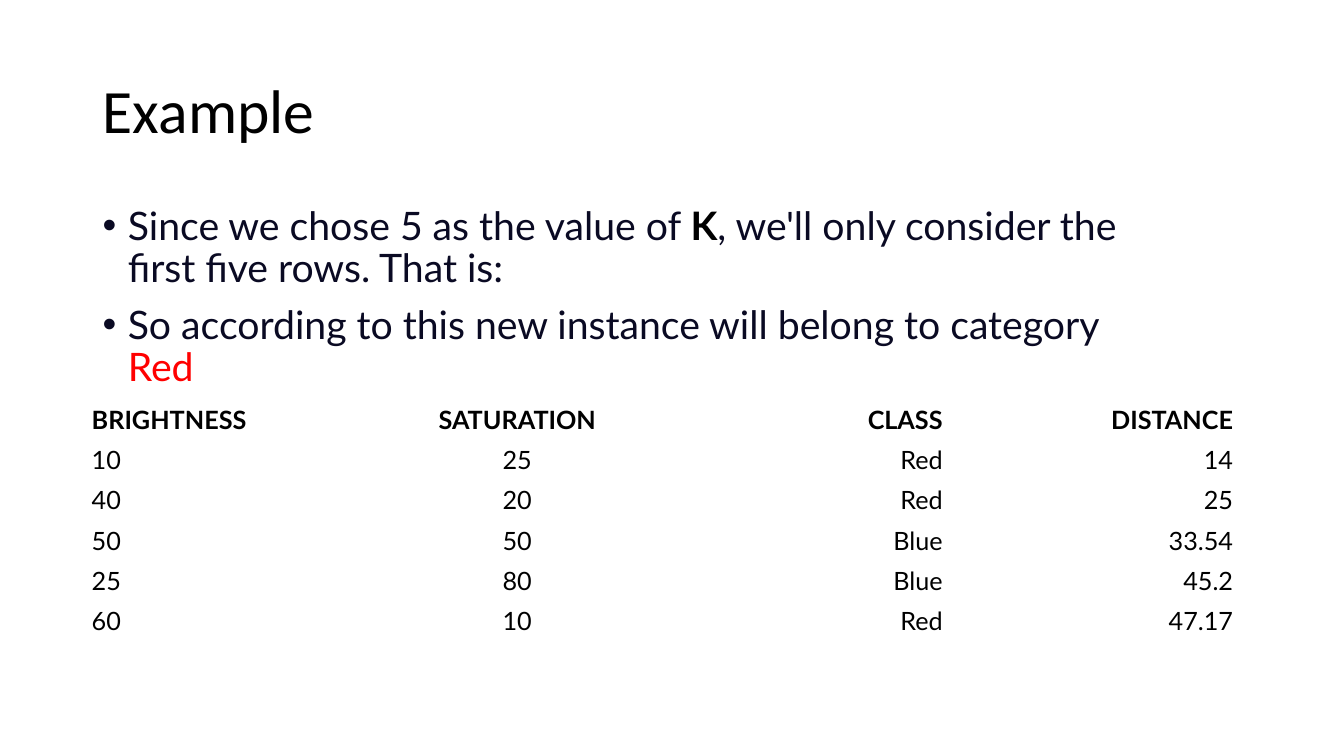
"""Build the nearest-neighbour example slide with its distance table."""
from dataclasses import dataclass

from lxml import etree
from pptx import Presentation
from pptx.dml.color import RGBColor
from pptx.enum.text import MSO_ANCHOR, PP_ALIGN
from pptx.oxml.ns import qn
from pptx.util import Inches, Pt

LEFT, CENTER, RIGHT = PP_ALIGN.LEFT, PP_ALIGN.CENTER, PP_ALIGN.RIGHT
MIDDLE, TOP = MSO_ANCHOR.MIDDLE, MSO_ANCHOR.TOP
TITLE_ONLY = 5
BLACK, NAVY, RED = "000000", "0A0A23", "FF0000"


@dataclass(frozen=True)
class Span:
    text: str
    color: str = NAVY
    bold: bool = False


@dataclass(frozen=True)
class Column:
    heading: str
    align: PP_ALIGN
    values: tuple[str, ...]


BULLETS = (
    (
        Span("Since we chose 5 as the value of "),
        Span("K", BLACK, True),
        Span(", we'll only consider the first five rows. That is:"),
    ),
    (
        Span("So according to this new instance will belong to category "),
        Span("Red", RED),
    ),
)
COLUMNS = (
    Column("BRIGHTNESS", LEFT, ("10", "40", "50", "25", "60")),
    Column("SATURATION", CENTER, ("25", "20", "50", "80", "10")),
    Column("CLASS", RIGHT, ("Red", "Red", "Blue", "Blue", "Red")),
    Column("DISTANCE", RIGHT, ("14", "25", "33.54", "45.2", "47.17")),
)


def format_run(run, font: str, size: float, color: str, bold: bool = False) -> None:
    run.font.name = font
    run.font.size = Pt(size)
    run.font.bold = bold
    run.font.color.rgb = RGBColor.from_string(color)


def add_bullet(para) -> None:
    properties = para._p.get_or_add_pPr()
    properties.set("marL", str(Inches(0.25)))
    properties.set("indent", str(Inches(-0.25)))
    etree.SubElement(properties, qn("a:buFont")).set("typeface", "Arial")
    etree.SubElement(properties, qn("a:buChar")).set("char", "•")


def format_title(title) -> None:
    title.left, title.top = Inches(0.92), Inches(0.4)
    title.width, title.height = Inches(11.5), Inches(1.45)
    frame = title.text_frame
    frame.text = "Example"
    frame.vertical_anchor = MIDDLE
    para = frame.paragraphs[0]
    para.alignment = LEFT
    para.line_spacing = 0.9
    format_run(para.runs[0], "Calibri", 44, BLACK)


def add_body(page) -> None:
    box = page.shapes.add_textbox(Inches(0.92), Inches(2), Inches(10.7), Inches(4.67))
    frame = box.text_frame
    frame.word_wrap = True
    frame.vertical_anchor = TOP
    for index, spans in enumerate(BULLETS):
        para = frame.add_paragraph() if index else frame.paragraphs[0]
        para.line_spacing = 0.9
        para.space_before = Pt(10)
        add_bullet(para)
        for span in spans:
            run = para.add_run()
            run.text = span.text
            format_run(run, "Lato", 28, span.color, span.bold)


def add_distance_table(page) -> None:
    row_count = len(COLUMNS[0].values) + 1
    frame = page.shapes.add_table(
        row_count, len(COLUMNS), Inches(0.81), Inches(3.96),
        Inches(2.88 * len(COLUMNS)), Inches(0.4 * row_count),
    )
    table = frame.table
    table.first_row = False
    table.horz_banding = False
    for column_index, column in enumerate(COLUMNS):
        for row_index, text in enumerate((column.heading, *column.values)):
            cell = table.cell(row_index, column_index)
            cell.fill.background()
            cell.text_frame.text = text
            para = cell.text_frame.paragraphs[0]
            para.alignment = column.align
            format_run(para.runs[0], "Lato", 18, BLACK, row_index == 0)


def main() -> None:
    deck = Presentation()
    deck.slide_width, deck.slide_height = Inches(13.33), Inches(7.5)
    page = deck.slides.add_slide(deck.slide_layouts[TITLE_ONLY])
    format_title(page.shapes.title)
    add_body(page)
    add_distance_table(page)
    deck.save("out.pptx")


if __name__ == "__main__":
    main()
